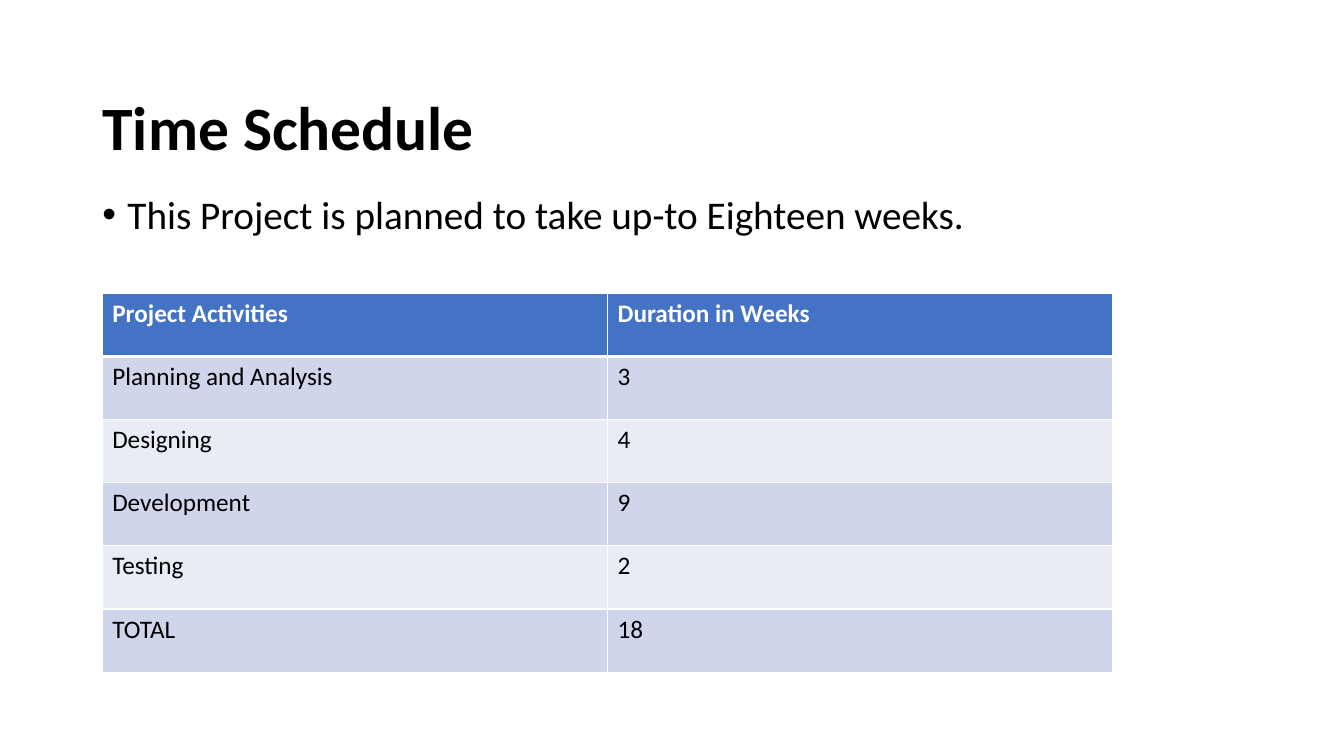
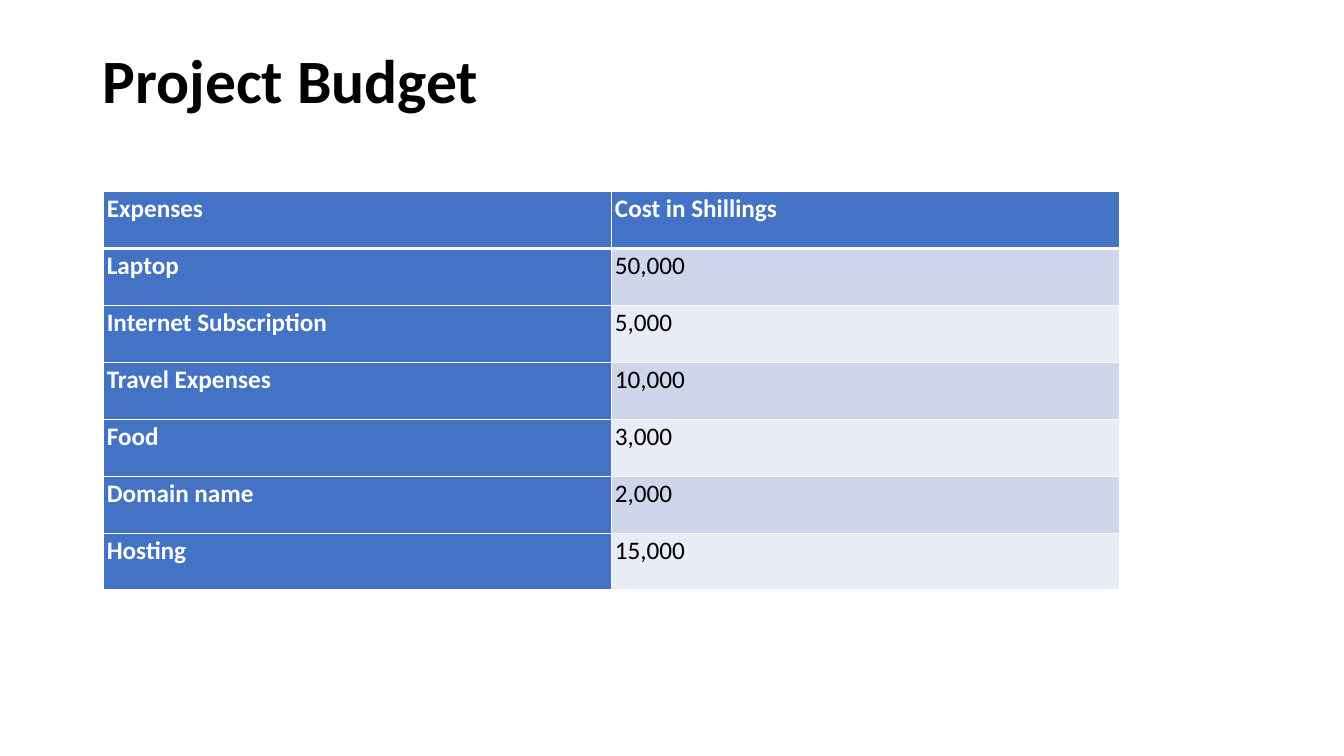
from lxml import etree
from pptx import Presentation
from pptx.dml.color import RGBColor
from pptx.enum.text import MSO_ANCHOR, MSO_AUTO_SIZE, PP_ALIGN
from pptx.oxml.ns import qn
from pptx.util import Pt

FONT = "Calibri"
BLACK, WHITE, BLUE = "000000", "FFFFFF", "4472C4"
BANDS = ("CFD5EA", "E9EBF5")
MARGIN, TEXT_WIDTH = 66, 828
THIN, THICK = 1, 3

SLIDES = [
    {
        "title": "Time Schedule", "title_top": 60, "title_height": 66,
        "bullet": "This Project is planned to take up-to Eighteen weeks.",
        "rows": [
            ("Project Activities", "Duration in Weeks"),
            ("Planning and Analysis", "3"),
            ("Designing", "4"),
            ("Development", "9"),
            ("Testing", "2"),
            ("TOTAL", "18"),
        ],
        "left": 73, "top": 209.5, "column": 361, "row": 45.1,
        "first_column": False, "insets": (7.2, 3.6), "spacing": 1.0,
    },
    {
        "title": "Project Budget", "title_top": 29, "title_height": 61,
        "bullet": None,
        "rows": [
            ("Expenses", "Cost in Shillings"),
            ("Laptop", "50,000"),
            ("Internet Subscription", "5,000"),
            ("Travel Expenses", "10,000"),
            ("Food", "3,000"),
            ("Domain name", "2,000"),
            ("Hosting", "15,000"),
        ],
        "left": 73.6, "top": 136.9, "column": 363, "row": 40.65,
        "first_column": True, "insets": (2.7, 0), "spacing": 1.07,
    },
]


def rgb(value):
    return RGBColor.from_string(value)


def place(shape, left, top, width, height):
    shape.left, shape.top = Pt(left), Pt(top)
    shape.width, shape.height = Pt(width), Pt(height)


def write(paragraph, text, size, color=BLACK, bold=False, spacing=0.9):
    paragraph.alignment = PP_ALIGN.LEFT
    paragraph.line_spacing = spacing
    run = paragraph.add_run()
    run.text = text
    font = run.font
    font.name, font.size, font.bold = FONT, Pt(size), bold
    font.color.rgb = rgb(color)


def add_title(slide, text, top, height):
    title = slide.shapes.title
    place(title, MARGIN, top, TEXT_WIDTH, height)
    frame = title.text_frame
    frame.auto_size = MSO_AUTO_SIZE.NONE
    frame.vertical_anchor = MSO_ANCHOR.MIDDLE
    write(frame.paragraphs[0], text, 44, bold=True)


def add_bullet(slide, text):
    box = slide.shapes.add_textbox(Pt(MARGIN), Pt(136), Pt(TEXT_WIDTH), Pt(55))
    box.text_frame.word_wrap = True
    paragraph = box.text_frame.paragraphs[0]
    properties = paragraph._p.get_or_add_pPr()
    properties.set("marL", str(Pt(18)))
    properties.set("indent", str(-Pt(18)))
    etree.SubElement(properties, qn("a:buFont"), typeface="Arial")
    etree.SubElement(properties, qn("a:buChar"), char="•")
    write(paragraph, text, 28)


def set_borders(cell, top, bottom):
    """Draw white cell edges; call before the fill is set."""
    properties = cell._tc.get_or_add_tcPr()
    for side, width in (("L", THIN), ("R", THIN), ("T", top), ("B", bottom)):
        line = etree.SubElement(properties, qn(f"a:ln{side}"), w=str(Pt(width)))
        fill = etree.SubElement(line, qn("a:solidFill"))
        etree.SubElement(fill, qn("a:srgbClr"), val=WHITE)


def add_table(slide, content):
    rows = content["rows"]
    columns = len(rows[0])
    table = slide.shapes.add_table(
        len(rows), columns, Pt(content["left"]), Pt(content["top"]),
        Pt(content["column"] * columns), Pt(content["row"] * len(rows))).table
    table.first_col = content["first_column"]
    for column in table.columns:
        column.width = Pt(content["column"])
    side, edge = content["insets"]
    for r, texts in enumerate(rows):
        table.rows[r].height = Pt(content["row"])
        for c, text in enumerate(texts):
            cell = table.cell(r, c)
            heading = r == 0 or (c == 0 and content["first_column"])
            cell.margin_left = cell.margin_right = Pt(side)
            cell.margin_top = cell.margin_bottom = Pt(edge)
            set_borders(cell, THICK if r == 1 else THIN, THICK if r == 0 else THIN)
            cell.fill.solid()
            cell.fill.fore_color.rgb = rgb(BLUE if heading else BANDS[(r - 1) % 2])
            write(cell.text_frame.paragraphs[0], text, 18,
                  WHITE if heading else BLACK, heading, content["spacing"])


def main():
    deck = Presentation()
    deck.slide_width, deck.slide_height = Pt(960), Pt(540)
    title_only = deck.slide_layouts[5]
    for content in SLIDES:
        slide = deck.slides.add_slide(title_only)
        add_title(slide, content["title"], content["title_top"], content["title_height"])
        if content["bullet"]:
            add_bullet(slide, content["bullet"])
        add_table(slide, content)
    deck.save("out.pptx")


if __name__ == "__main__":
    main()
